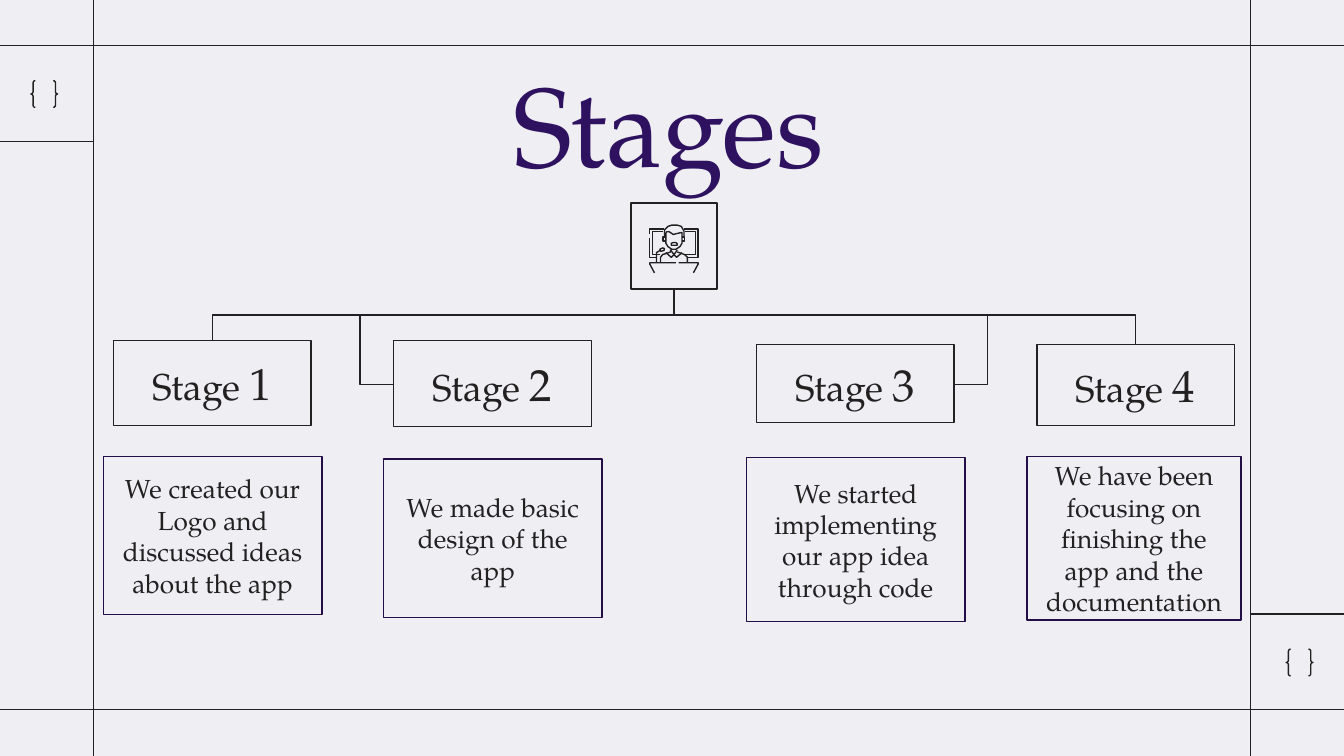
"""Build the Stages slide: four project stages branching from one icon."""
from dataclasses import dataclass

from lxml import etree
from pptx import Presentation
from pptx import util as u
from pptx.dml.color import RGBColor
from pptx.enum import shapes, text
from pptx.oxml import ns


@dataclass(frozen=True)
class Theme:
    paper: str = "EFEEF3"
    ink: str = "222020"
    title: str = "2E125F"
    border: str = "220D47"
    font: str = "TeX Gyre Pagella"
    title_size: int = 60
    number_size: int = 24
    stage_size: int = 20
    body_size: int = 14
    stroke: float = 0.75


COLUMNS = 100
ROWS = COLUMNS * 9 / 16
TRUNK_TOP, TRUNK_BEND = (50.15, 21.5), 23.45

STAGES = [
    ("1", "We created our Logo and discussed ideas about the app",
     (8.45, 25.35, 14.7, 6.3), (7.7, 33.95, 16.25, 11.8), (15.8, 25.35)),
    ("2", "We made basic design of the app",
     (29.3, 25.35, 14.7, 6.4), (28.55, 34.15, 16.25, 11.8), (29.3, 28.6)),
    ("3", "We started implementing our app idea through code",
     (56.3, 25.65, 14.7, 5.8), (55.55, 34.05, 16.25, 12.2), (71, 28.6)),
    ("4", "We have been focusing on finishing the app and the documentation",
     (77.15, 25.65, 14.7, 6), (76.4, 33.95, 15.95, 12.2), (84.5, 25.65)),
]
HOOKED = {"2", "3"}

FRAME_LINES = [
    ((-0.1, 3.4), (100.1, 3.4)), ((-0.1, 52.8), (100.1, 52.8)),
    ((6.95, ROWS), (6.95, 0)), ((93.05, ROWS), (93.05, 0)),
    ((93.05, 45.7), (100.1, 45.7)), ((-0.1, 10.55), (6.95, 10.55)),
]

SPEAKER_ICON = [
    [(0.5, 7), (0.5, 3.5), (11, 3.5)],
    [(0.5, 10), (0.5, 24.5), (5, 24.5)],
    [(10, 5.5), (2.5, 5.5), (2.5, 22.5), (8, 22.5)],
    [(26, 3.5), (36.5, 3.5), (36.5, 24.5), (29, 24.5)],
    [(27, 5.5), (34.5, 5.5), (34.5, 22.5), (27, 22.5)],
    [(11.5, 9), (11.5, 4), (14, 1.5), (17, 0.5), (21, 0.5), (24, 1.5), (26, 5), (26, 9)],
    [(12.5, 6.5), (13, 5.5), (15, 5.5), (18, 7.5), (22, 6.5), (24.5, 6), (24.5, 14),
     (23, 16.5), (20, 18.5), (17, 18.5), (14, 16.5), (12.5, 14), (12.5, 6.5)],
    [(12.5, 9.5), (10.5, 9.5), (10.5, 12.5), (12.5, 12.5)],
    [(24.5, 9.5), (26.5, 9.5), (26.5, 12.5), (24.5, 12.5)],
    [(16.5, 15.5), (16.5, 14), (18, 13.5), (20, 13.5), (21, 14.5), (21, 15.5), (16.5, 15.5)],
    [(8, 18.5), (10, 17.5), (11.5, 18), (11, 19.5), (8.5, 20), (8, 18.5)],
    [(5.5, 28), (5.5, 21), (8, 19.5)],
    [(8.5, 28), (8.5, 24.5), (10, 22.5), (16, 20.5), (16, 18.5)],
    [(12.5, 21), (16.5, 24.5), (18.5, 22.5), (20.5, 24.5), (24.5, 21)],
    [(16, 19), (18.5, 22.5), (21, 19)],
    [(21, 20.5), (26.5, 22.5), (28.5, 24.5), (28.5, 28)],
    [(4, 36), (0.5, 29.5), (0.5, 28.5), (20, 28.5)],
    [(22, 28.5), (36.5, 28.5), (36.5, 29.5), (33, 36)],
]


def add_text(paragraph, content, *, size, color, font):
    """Append a formatted run to a centred paragraph."""
    paragraph.alignment = text.PP_ALIGN.CENTER
    run = paragraph.add_run()
    run.text = content
    run.font.size = u.Pt(size)
    run.font.name = font
    run.font.color.rgb = RGBColor.from_string(color)


class Canvas:
    """Draw themed elements on one slide, measured in columns and rows."""

    def __init__(self, presentation, theme):
        self.theme = theme
        self.column = presentation.slide_width / COLUMNS
        self.row = presentation.slide_height / ROWS
        self.slide = presentation.slides.add_slide(presentation.slide_layouts[6])
        fill = self.slide.background.fill
        fill.solid()
        fill.fore_color.rgb = RGBColor.from_string(theme.paper)

    def scale(self, *lengths):
        """Turn alternating column and row lengths into slide units."""
        units = (self.column, self.row)
        return [u.Emu(round(length * units[i % 2])) for i, length in enumerate(lengths)]

    def outline(self, item, color=None):
        """Give a shape or connector the theme's thin line."""
        item.line.color.rgb = RGBColor.from_string(color or self.theme.ink)
        item.line.width = u.Pt(self.theme.stroke)

    def connector(self, kind, start, end):
        """Add a connector without shadow."""
        connector = self.slide.shapes.add_connector(kind, *self.scale(*start, *end))
        self.outline(connector)
        etree.SubElement(connector._element.spPr, ns.qn("a:effectLst"))
        return connector

    def line(self, start, end):
        """Add a straight line."""
        self.connector(shapes.MSO_CONNECTOR.STRAIGHT, start, end)

    def branch(self, start, end, bend, overshoot=None):
        """Add an elbow that leaves downwards and turns at the bend row."""
        across, down = end[0] - start[0], end[1] - start[1]
        middle = (start[0] + end[0]) / 2, (start[1] + end[1]) / 2
        half = down / 2, abs(across) / 2
        connector = self.connector(
            shapes.MSO_CONNECTOR.ELBOW,
            (middle[0] - half[0], middle[1] - half[1]),
            (middle[0] + half[0], middle[1] + half[1]))
        properties = connector._element.spPr
        frame = properties.find(ns.qn("a:xfrm"))
        frame.set("rot", str((90 if across < 0 else 270) * 60000))
        if across > 0:
            frame.set("flipH", "1")
        geometry = properties.find(ns.qn("a:prstGeom"))
        geometry.set("prst", "bentConnector4" if overshoot else "bentConnector3")
        shares = [(bend - start[1]) / down]
        if overshoot:
            shares.append(1 + overshoot / abs(across))
        guides = geometry.find(ns.qn("a:avLst"))
        if guides is None:
            guides = etree.SubElement(geometry, ns.qn("a:avLst"))
        for number, share in enumerate(shares, 1):
            etree.SubElement(guides, ns.qn("a:gd"), name=f"adj{number}",
                             fmla=f"val {round(share * 100000)}")

    def box(self, kind, area, runs=(), color=None):
        """Add an outlined shape with optional centred text."""
        shape = self.slide.shapes.add_shape(kind, *self.scale(*area))
        shape.shadow.inherit = False
        shape.fill.background()
        self.outline(shape, color)
        if kind == shapes.MSO_SHAPE.ROUNDED_RECTANGLE:
            shape.adjustments[0] = 0
        if runs:
            self.fill_text(shape, runs, self.theme.ink, text.MSO_ANCHOR.MIDDLE)

    def title(self, area, content):
        """Add the slide title."""
        shape = self.slide.shapes.add_textbox(*self.scale(*area))
        self.fill_text(shape, [(content, self.theme.title_size)],
                       self.theme.title, text.MSO_ANCHOR.TOP)

    def fill_text(self, shape, runs, color, anchor):
        """Write runs of text and size into a shape."""
        frame = shape.text_frame
        frame.word_wrap = True
        frame.vertical_anchor = anchor
        frame.margin_left = frame.margin_right = u.Inches(0.1)
        frame.margin_top = frame.margin_bottom = u.Inches(0.1)
        for content, size in runs:
            add_text(frame.paragraphs[0], content, size=size, color=color,
                     font=self.theme.font)

    def icon(self, corner, strokes):
        """Draw strokes given in tenths of a column as one outline."""
        points = [[(x * 10, y * 10) for x, y in stroke] for stroke in strokes]
        builder = self.slide.shapes.build_freeform(*points[0][0], scale=self.column / 100)
        for number, stroke in enumerate(points):
            if number:
                builder.move_to(*stroke[0])
            builder.add_line_segments(stroke[1:], close=False)
        shape = builder.convert_to_shape(*self.scale(*corner))
        shape.shadow.inherit = False
        shape.fill.background()
        self.outline(shape)


def main():
    """Build and save the slide."""
    theme = Theme()
    presentation = Presentation()
    presentation.slide_width = u.Inches(10)
    presentation.slide_height = presentation.slide_width * 9 // 16
    canvas = Canvas(presentation, theme)
    kinds = shapes.MSO_SHAPE
    for start, end in FRAME_LINES:
        canvas.line(start, end)
    for corner in ((95.7, 48.3), (2.3, 6)):
        canvas.box(kinds.DOUBLE_BRACE, (*corner, 2, 2))
    canvas.title((7.6, 3.15, 84.3, 6), "Stages")
    for number, detail, label_area, detail_area, target in STAGES:
        canvas.branch(TRUNK_TOP, target, TRUNK_BEND, 2.5 if number in HOOKED else None)
        canvas.box(kinds.ROUNDED_RECTANGLE, label_area,
                   [("Stage ", theme.stage_size), (number, theme.number_size)])
        canvas.box(kinds.RECTANGLE, detail_area, [(detail, theme.body_size)], theme.border)
    canvas.box(kinds.ROUNDED_RECTANGLE, (46.95, 15.1, 6.4, 6.4))
    canvas.icon((48.3, 16.7), SPEAKER_ICON)
    presentation.save("out.pptx")


if __name__ == "__main__":
    main()
